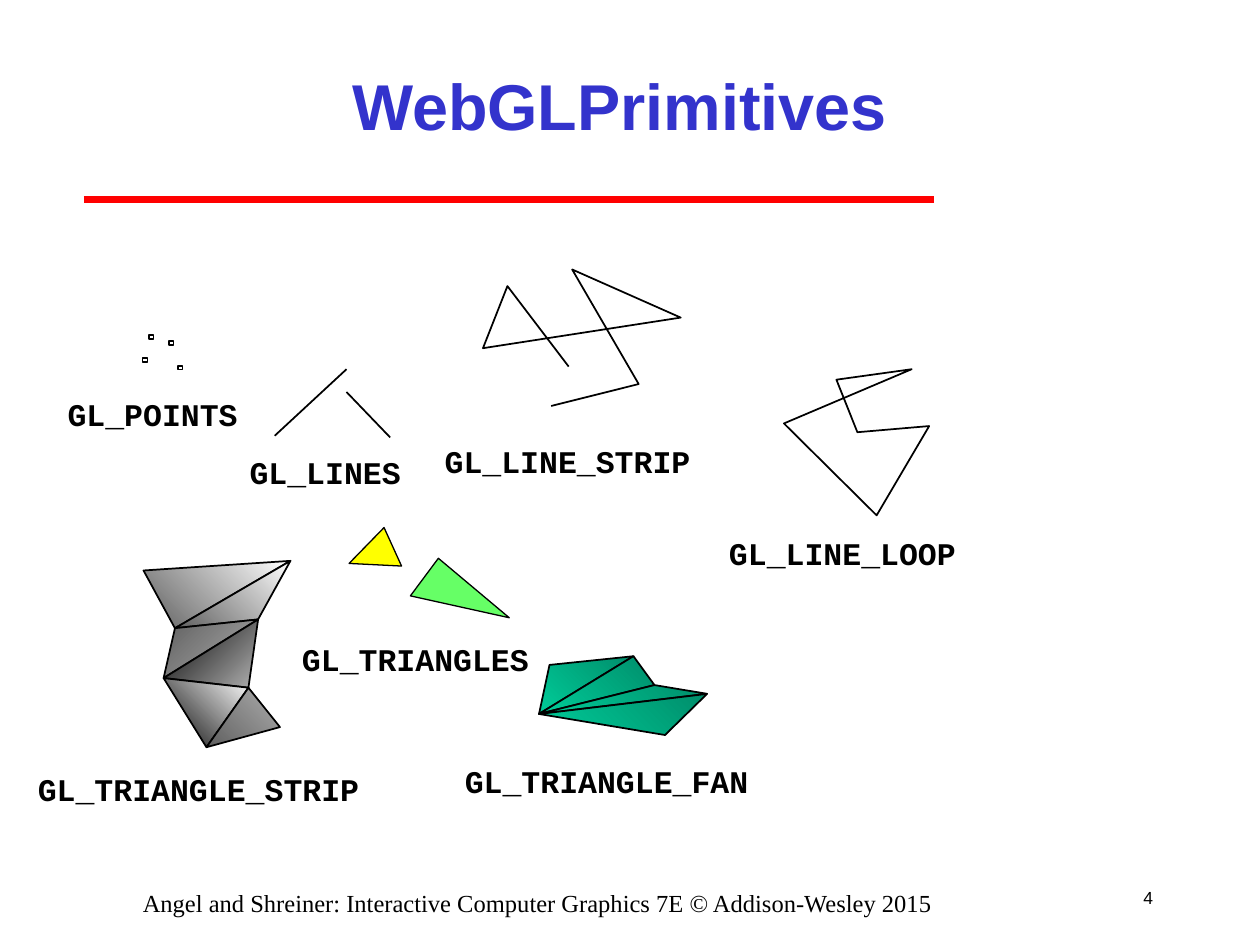
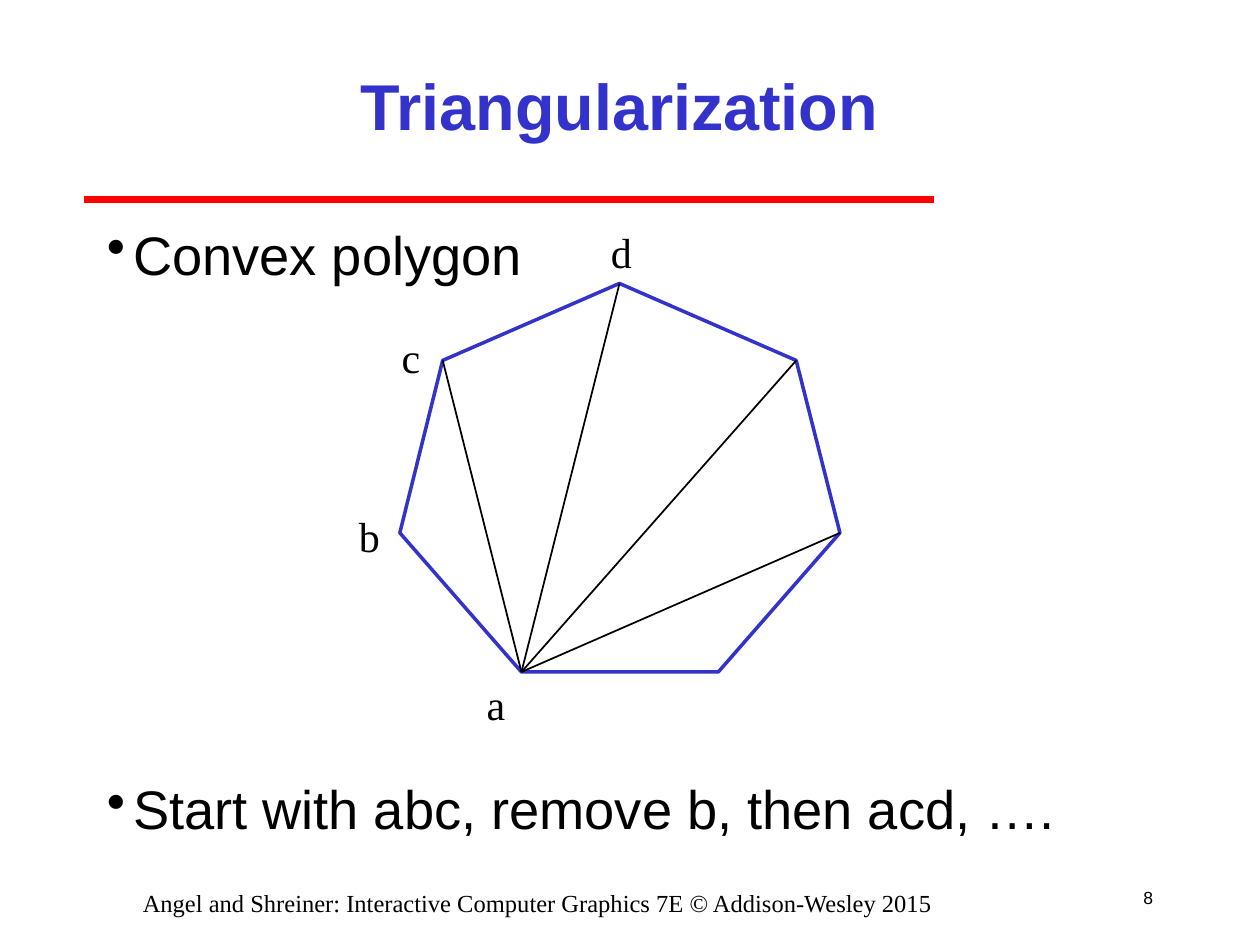
from dataclasses import dataclass
from itertools import pairwise

from lxml import etree
from pptx import Presentation
from pptx import util as u
from pptx.dml.color import RGBColor
from pptx.enum import shapes, text
from pptx.oxml.ns import qn


@dataclass(frozen=True)
class Theme:
    black: str = "000000"
    white: str = "FFFFFF"
    blue: str = "3333CC"
    red: str = "FF0000"
    yellow: str = "FFFF00"
    green: str = "66FF66"
    fan_gradient: tuple = ("008E6B", "00CC99", 135)
    heading_font: str = "Arial"
    code_font: str = "Courier New"
    serif_font: str = "Times New Roman"
    title_size: int = 37
    body_size: int = 31
    vertex_size: int = 24
    code_size: int = 18
    footer_size: int = 14
    number_size: int = 10


theme = Theme()


def add_text(slide, content, left, top, width, height, *, size, font=theme.heading_font,
             color=theme.black, bold=False, align=text.PP_ALIGN.LEFT,
             anchor=text.MSO_ANCHOR.TOP, wrap=True, grow=False, outline=None,
             bullet=None, gap=0):
    """Add a text box; content is one string or a list of paragraphs."""
    shape = slide.shapes.add_textbox(u.Pt(left), u.Pt(top), u.Pt(width), u.Pt(height))
    if outline:
        shape.line.color.rgb = RGBColor.from_string(outline)
        shape.line.width = u.Pt(0.75)
    frame = shape.text_frame
    frame.word_wrap = wrap
    frame.vertical_anchor = anchor
    if grow:
        frame.auto_size = text.MSO_AUTO_SIZE.SHAPE_TO_FIT_TEXT
    lines = [content] if isinstance(content, str) else content
    for index, line in enumerate(lines):
        paragraph = frame.paragraphs[0] if index == 0 else frame.add_paragraph()
        paragraph.alignment = align
        if index:
            paragraph.space_before = u.Pt(gap)
        if bullet:
            properties = paragraph._p.get_or_add_pPr()
            properties.set("marL", str(u.Pt(15)))
            properties.set("indent", str(u.Pt(-15)))
            etree.SubElement(properties, qn("a:buChar")).set("char", bullet)
        run = paragraph.add_run()
        run.text = line
        run.font.name = font
        run.font.size = u.Pt(size)
        run.font.bold = bold
        run.font.color.rgb = RGBColor.from_string(color)


def draw_path(slide, points, *, color=theme.black, weight=1, fill=None, closed=False):
    """Join points: two make a connector, more make a freeform.

    fill is a colour, or (first colour, last colour, clockwise angle).
    """
    points = [(u.Pt(x), u.Pt(y)) for x, y in points]
    if len(points) == 2:
        shape = slide.shapes.add_connector(
            shapes.MSO_CONNECTOR.STRAIGHT, *points[0], *points[1])
    else:
        builder = slide.shapes.build_freeform(*points[0])
        builder.add_line_segments(points[1:], close=closed)
        shape = builder.convert_to_shape()
        if fill is None:
            shape.fill.background()
        elif isinstance(fill, str):
            shape.fill.solid()
            shape.fill.fore_color.rgb = RGBColor.from_string(fill)
        else:
            *stop_colors, angle = fill
            shape.fill.gradient()
            shape.fill.gradient_angle = 360 - angle
            for stop, stop_color in zip(shape.fill.gradient_stops, stop_colors):
                stop.color.rgb = RGBColor.from_string(stop_color)
    shape.line.color.rgb = RGBColor.from_string(color)
    shape.line.width = u.Pt(weight)
    etree.SubElement(shape._element.spPr, qn("a:effectLst"))


presentation = Presentation()
presentation.slide_width = u.Pt(720)
presentation.slide_height = u.Pt(540)
blank_layout = presentation.slide_layouts[6]

# Shared frame: red rule, title, slide number, footer
slides = []
for title, number in [("WebGLPrimitives", "4"), ("Triangularization", "8")]:
    slide = presentation.slides.add_slide(blank_layout)
    slides.append(slide)
    draw_path(slide, [(48, 114), (534, 114)], color=theme.red, weight=4)
    add_text(slide, title, 108, 18, 492, 84, size=theme.title_size, color=theme.blue,
             bold=True, align=text.PP_ALIGN.CENTER, anchor=text.MSO_ANCHOR.MIDDLE)
    add_text(slide, number, 636, 498, 30, 30, size=theme.number_size, wrap=False,
             align=text.PP_ALIGN.RIGHT, anchor=text.MSO_ANCHOR.MIDDLE)
    add_text(slide, "Angel and Shreiner: Interactive Computer Graphics 7E © Addison-Wesley 2015",
             34.25, 504, 546, 18, size=theme.footer_size, font=theme.serif_font,
             align=text.PP_ALIGN.CENTER)
primitives_slide, polygon_slide = slides

# Triangle strip: each three neighbouring vertices make a triangle
strip_vertices = [(82, 326), (166, 320.5), (100, 359), (147.5, 354),
                  (93.5, 387.5), (142, 393), (118, 427), (160, 415.5)]
strip_gradients = [("FFFFFF", "5F5F5F", 135), ("FFFFFF", "5F5F5F", 135),
                   ("AFAFAF", "5F5F5F", 225), ("B2B2B2", "000000", 225),
                   ("FFFFFF", "000000", 135), ("AFAFAF", "5F5F5F", 135)]
for index, gradient in enumerate(strip_gradients):
    draw_path(primitives_slide, strip_vertices[index:index + 3], fill=gradient, closed=True)

# Triangle fan: the hub joins each pair of rim vertices
fan_hub = (308, 408)
fan_rim = [(314, 380), (362, 375), (374, 391.5), (404, 396.5), (380, 420)]
for rim_pair in pairwise(fan_rim):
    draw_path(primitives_slide, [fan_hub, *rim_pair], fill=theme.fan_gradient, closed=True)

# Points
for left, top in [(85, 191.5), (96.5, 195), (81.5, 204.5), (101.5, 209)]:
    point = primitives_slide.shapes.add_shape(
        shapes.MSO_SHAPE.RECTANGLE, u.Pt(left), u.Pt(top), u.Pt(2.75), u.Pt(2.25))
    point.shadow.inherit = False
    point.fill.solid()
    point.fill.fore_color.rgb = RGBColor.from_string(theme.white)
    point.line.color.rgb = RGBColor.from_string(theme.black)
    point.line.width = u.Pt(1)

# Separate lines, line strip and line loop
draw_path(primitives_slide, [(157, 249), (198, 211)])
draw_path(primitives_slide, [(198, 224), (223, 250)])
draw_path(primitives_slide, [(325, 209.5), (290, 163.5), (276, 199), (389, 181.5),
                             (327, 154), (365, 219.5), (315, 232)])
draw_path(primitives_slide, [(490, 247), (478, 217), (521, 211), (448, 242),
                             (501, 294.5), (531, 243.5)], closed=True)

# Separate triangles
draw_path(primitives_slide, [(219.5, 301.5), (199.5, 322), (229.5, 323.5)],
          weight=0.75, fill=theme.yellow, closed=True)
draw_path(primitives_slide, [(250.5, 319), (234.5, 340.5), (291, 353)],
          weight=0.75, fill=theme.green, closed=True)

# Primitive names
for name, left, top, width in [
    ("GL_POINTS", 31.5, 222, 111.5),
    ("GL_LINES", 135.5, 255.5, 101),
    ("GL_LINE_STRIP", 247, 249, 155),
    ("GL_LINE_LOOP", 409.5, 301.5, 144),
    ("GL_TRIANGLES", 165.5, 362, 144),
    ("GL_TRIANGLE_STRIP", 14.5, 436.5, 198),
    ("GL_TRIANGLE_FAN", 258.5, 432, 176.5),
]:
    add_text(primitives_slide, name, left, top, width, 29, size=theme.code_size,
             font=theme.code_font, bold=True, wrap=False, grow=True, outline=theme.white)

# Bullets above and below the polygon
add_text(polygon_slide, ["Convex polygon", "Start with abc, remove b, then acd, …."],
         54, 123, 612, 372, size=theme.body_size, bullet="•", gap=279.5)

# Heptagon with diagonals from vertex a
heptagon = [(298, 384), (228.5, 304.5), (253, 206), (354, 162),
            (455, 206), (480, 304.5), (410.5, 384)]
draw_path(polygon_slide, heptagon, color=theme.blue, weight=2, fill=theme.white, closed=True)
for corner in heptagon[2:-1]:
    draw_path(polygon_slide, [corner, heptagon[0]])

# Vertex names
for letter, left, top in [("a", 271, 384), ("b", 198, 288), ("c", 222.5, 186), ("d", 342, 126)]:
    add_text(polygon_slide, letter, left, top, 25.5, 36, size=theme.vertex_size,
             font=theme.serif_font, wrap=False, grow=True)

presentation.save("out.pptx")
